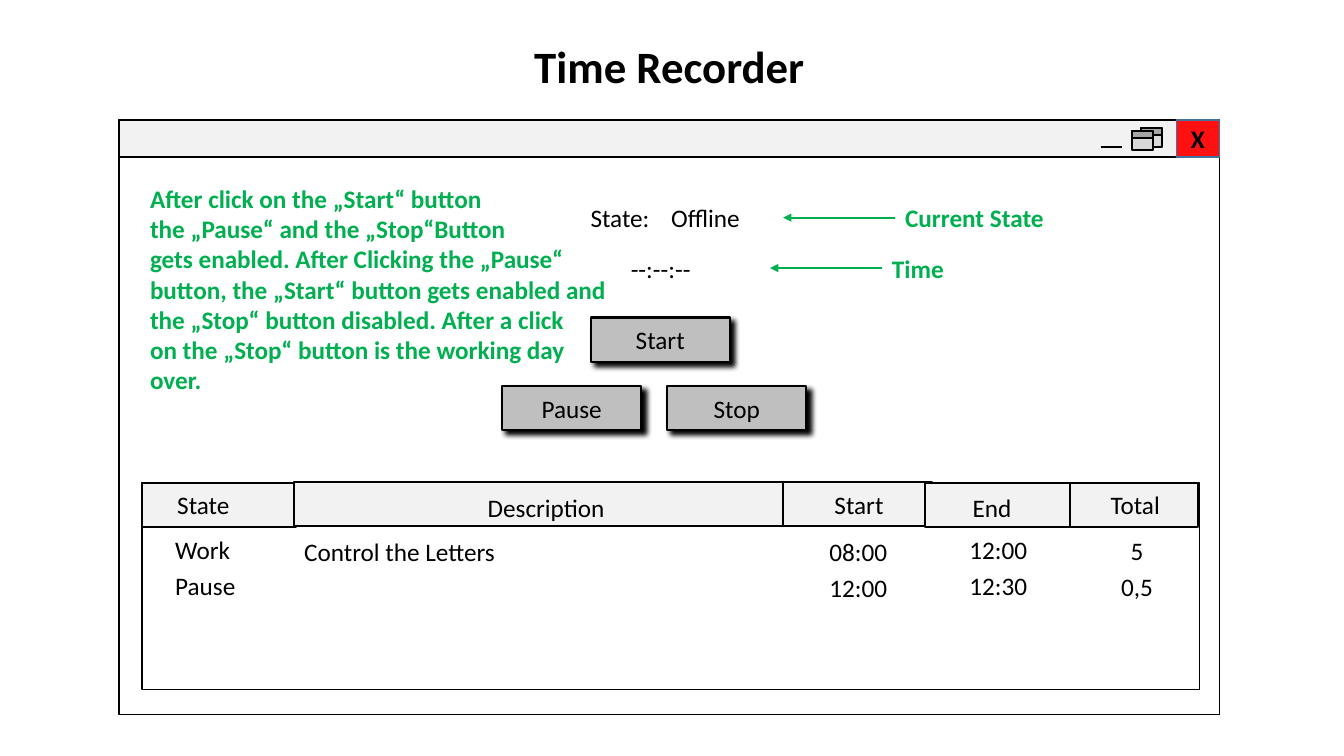
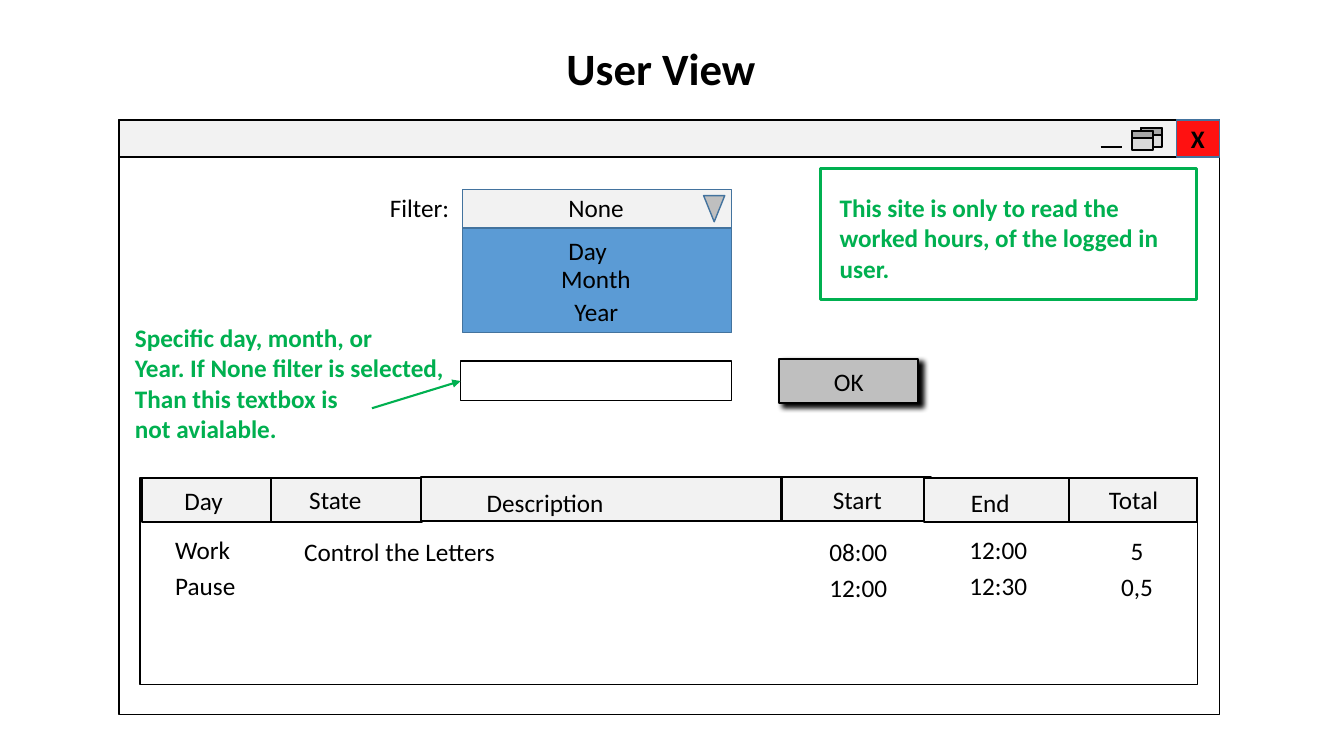
from dataclasses import dataclass, replace

from lxml.etree import SubElement
from pptx import Presentation
from pptx.dml.color import RGBColor
from pptx.enum.shapes import MSO_CONNECTOR, MSO_SHAPE
from pptx.enum.text import MSO_ANCHOR, MSO_AUTO_SIZE, PP_ALIGN
from pptx.oxml.ns import qn
from pptx.util import Pt

# Shared look
COLORS = {
    "black": "000000", "white": "FFFFFF", "pale": "F2F2F2", "close": "FF1111",
    "icon": "D9D9D9", "icon bar": "A6A6A6", "button": "BFBFBF",
    "blue": "5B9BD5", "blue edge": "43739E", "note": "00B050",
}
BODY_FONT = {"name": "Calibri", "size": Pt(18), "bold": False}
STRONG_FONT = {**BODY_FONT, "bold": True}
TITLE_FONT = {**STRONG_FONT, "size": Pt(32)}
TEXT_HEIGHT = 28.8
BUTTON_WIDTH, BUTTON_HEIGHT = 99.4, 31.7
HEADER_HEIGHT = 31.7
ROW_PITCH = 26


@dataclass(frozen=True)
class Area:
    left: float
    top: float
    width: float
    height: float = TEXT_HEIGHT

    def lengths(self) -> tuple:
        return Pt(self.left), Pt(self.top), Pt(self.width), Pt(self.height)


@dataclass(frozen=True)
class Label:
    text: str
    area: Area
    color: str = "black"
    wrap: bool = False
    align: PP_ALIGN = PP_ALIGN.LEFT


@dataclass(frozen=True)
class Column:
    label: str
    left: float
    width: float
    label_left: float
    label_width: float
    label_drop: float = 1.4
    lift: float = 0


@dataclass(frozen=True)
class Entries:
    values: tuple
    left: float
    width: float
    top: float
    align: PP_ALIGN = PP_ALIGN.CENTER


@dataclass(frozen=True)
class Arrow:
    start: tuple
    end: tuple


def color_of(name: str) -> RGBColor:
    return RGBColor.from_string(COLORS[name])


def apply_format(target, values: dict) -> None:
    for name, value in values.items():
        setattr(target, name, value)


def write_text(box, text: str, color: str, font: dict, align: PP_ALIGN) -> None:
    frame = box.text_frame
    for number, line in enumerate(text.split("\n")):
        para = frame.add_paragraph() if number else frame.paragraphs[0]
        para.alignment = align
        span = para.add_run()
        span.text = line
        apply_format(span.font, font)
        span.font.color.rgb = color_of(color)


def add_box(shapes, area: Area, fill: str | None, edge: str = "black",
            weight: float = 1, kind: MSO_SHAPE = MSO_SHAPE.RECTANGLE):
    box = shapes.add_shape(kind, *area.lengths())
    box.shadow.inherit = False
    if fill is None:
        box.fill.background()
    else:
        box.fill.solid()
        box.fill.fore_color.rgb = color_of(fill)
    box.line.color.rgb = color_of(edge)
    box.line.width = Pt(weight)
    return box


def add_label(shapes, label: Label) -> None:
    box = shapes.add_textbox(*label.area.lengths())
    apply_format(box.text_frame, {"word_wrap": label.wrap,
                                  "auto_size": MSO_AUTO_SIZE.SHAPE_TO_FIT_TEXT})
    font = STRONG_FONT if label.color == "note" else BODY_FONT
    write_text(box, label.text, label.color, font, label.align)


def add_line(shapes, start: tuple, end: tuple, color: str, weight: float):
    line = shapes.add_connector(MSO_CONNECTOR.STRAIGHT,
                                *(Pt(value) for value in (*start, *end)))
    line.line.color.rgb = color_of(color)
    line.line.width = Pt(weight)
    SubElement(line.element.find(qn("p:spPr")), qn("a:effectLst"))
    return line


def add_arrow(shapes, arrow: Arrow) -> None:
    line = add_line(shapes, arrow.start, arrow.end, "note", 1.5)
    stroke = line.element.find(".//" + qn("a:ln"))
    SubElement(stroke, qn("a:tailEnd"), type="triangle")


def add_button(shapes, text: str, left: float, top: float) -> None:
    area = Area(left, top, BUTTON_WIDTH, BUTTON_HEIGHT)
    box = add_box(shapes, area, "button", weight=1.5)
    box.text_frame.vertical_anchor = MSO_ANCHOR.MIDDLE
    write_text(box, text, "black", BODY_FONT, PP_ALIGN.CENTER)
    effects = box.element.find(".//" + qn("a:effectLst"))
    shadow = SubElement(effects, qn("a:outerShdw"), blurRad=str(Pt(4)),
                        dist=str(Pt(4)), dir="2400000", algn="tl", rotWithShape="0")
    SubElement(shadow, qn("a:srgbClr"), val=COLORS["black"])


def add_title(page, text: str, area: Area) -> None:
    box = page.shapes.title
    box.left, box.top, box.width, box.height = area.lengths()
    apply_format(box.text_frame, {"word_wrap": False, "auto_size": MSO_AUTO_SIZE.NONE,
                                  "vertical_anchor": MSO_ANCHOR.MIDDLE})
    write_text(box, text, "black", TITLE_FONT, PP_ALIGN.LEFT)


def add_window(page, layout) -> None:
    """Draw the window once and hand it to the layout."""
    group = page.shapes.add_group_shape()
    shapes = group.shapes
    left, top, width, bar_height, close_width = 85, 85.7, 786.2, 26.6, 31
    add_box(shapes, Area(left, top, width, 424.8), None)
    add_box(shapes, Area(left, top, width, bar_height), "pale")
    close = add_box(shapes, Area(left + width - close_width, top, close_width, bar_height),
                    "close", "blue edge")
    apply_format(close.text_frame, {"vertical_anchor": MSO_ANCHOR.MIDDLE,
                                    "margin_left": 0, "margin_right": 0})
    write_text(close, "X", "black", STRONG_FONT, PP_ALIGN.CENTER)
    for icon_left, icon_top in ((815, 91.4), (808.6, 93.6)):
        add_box(shapes, Area(icon_left, icon_top, 15.1, 13.7), "icon")
        add_box(shapes, Area(icon_left, icon_top, 15.1, 5), "icon bar")
    add_line(shapes, (786.2, 105.1), (801.4, 105.1), "black", 1)

    layout.element.cSld.spTree.append(group.element)
    for number, node in enumerate(layout.element.iter(qn("p:cNvPr")), 1):
        node.set("id", str(number))


def add_time_sheet(shapes, left: float, top: float, columns: tuple) -> None:
    add_box(shapes, Area(left, top, 755.3, 147.6), "white")
    for column in columns:
        add_box(shapes, Area(column.left, top - column.lift, column.width, HEADER_HEIGHT),
                "pale", weight=1.5)
    for column in columns:
        area = Area(column.label_left, top + column.label_drop, column.label_width)
        add_label(shapes, Label(column.label, area))
    for entries in ENTRIES:
        for row, value in enumerate(entries.values):
            area = Area(entries.left, entries.top + row * ROW_PITCH, entries.width)
            add_label(shapes, Label(value, area, wrap=True, align=entries.align))


# Time sheet content
TIME_COLUMNS = (
    Column("Start", 559.4, 106.6, 589, 50.4, lift=0.7),
    Column("End", 661, 103.7, 687.6, 57.6, label_drop=2.9),
    Column("Total", 764.6, 91.4, 786.2, 54.7),
)
RECORDER_COLUMNS = (
    Column("State", 101.5, 110.2, 119.5, 51.8),
    Column("Description", 210.2, 349.2, 341.3, 105.8, label_drop=2.9, lift=0.7),
    *TIME_COLUMNS,
)
VIEW_SHIFT = -1.2
VIEW_COLUMNS = (
    Column("State", 191.5, 110.2, 213.8, 51.8),
    Column("Description", 301, 257, 340.6, 105.8, label_drop=2.9, lift=0.7),
    *(replace(column, left=column.left + VIEW_SHIFT,
              label_left=column.label_left + VIEW_SHIFT) for column in TIME_COLUMNS),
    Column("Day", 101.5, 92.2, 124.6, 43.9, label_drop=2.1),
)
ENTRIES = (
    Entries(("Work", "Pause"), 118.1, 91.4, 378, PP_ALIGN.LEFT),
    Entries(("Control the Letters",), 210.2, 349.2, 379.4, PP_ALIGN.LEFT),
    Entries(("08:00", "12:00"), 563.8, 98.6, 379.4),
    Entries(("12:00", "12:30"), 663.8, 98.6, 378.2),
    Entries(("5", "0,5"), 768.2, 87.8, 378.7),
)

# Labels, notes and arrows
RECORDER_LABELS = (
    Label("State:", Area(414.7, 141.1, 56.9)),
    Label("Offline", Area(472.3, 141.1, 64.8)),
    Label("--:--:--", Area(443.5, 177.1, 57.6)),
    Label("Current State", Area(639.4, 141.1, 114.5), "note"),
    Label("Time", Area(630, 177.1, 51.8), "note"),
    Label("After click on the „Start“ button\n"
          "the „Pause“ and the „Stop“Button\n"
          "gets enabled. After Clicking the „Pause“\n"
          "button, the „Start“ button gets enabled and\n"
          "the „Stop“ button disabled. After a click\n"
          "on the „Stop“ button is the working day\n"
          "over.", Area(100.1, 127.4, 347.8, 159.8), "note"),
)
RECORDER_ARROWS = (
    Arrow((639.4, 155.5), (559.4, 155.5)),
    Arrow((630, 191.5), (550, 191.5)),
)
VIEW_LABELS = (
    Label("Filter:", Area(271.4, 133.9, 57.6)),
    Label("None", Area(398.9, 133.9, 54.7)),
    Label("Day", Area(398.9, 164.2, 42.5)),
    Label("Month", Area(393.8, 184.3, 64.8)),
    Label("Year", Area(403.2, 208.1, 46.1)),
    Label("Specific day, month, or\n"
          "Year. If None filter is selected,\n"
          "Than this textbox is\n"
          "not avialable.", Area(89.3, 226.8, 241.2, 94.3), "note"),
    Label("This site is only to read the\n"
          "worked hours, of the logged in\n"
          "user.", Area(592.6, 133.9, 248.4, 72.7), "note"),
)

deck = Presentation()
deck.slide_width, deck.slide_height = Pt(960), Pt(540)
title_only = deck.slide_layouts.get_by_name("Title Only")

# Time Recorder
page = deck.slides.add_slide(title_only)
add_window(page, title_only)
add_title(page, "Time Recorder", Area(374.4, 23.8, 209.5, 46))
add_time_sheet(page.shapes, 101.5, 344.9, RECORDER_COLUMNS)
for text, left, top in (("Start", 421.9, 226.8), ("Stop", 476.6, 275.8),
                        ("Pause", 358.6, 275.8)):
    add_button(page.shapes, text, left, top)
for label in RECORDER_LABELS:
    add_label(page.shapes, label)
for arrow in RECORDER_ARROWS:
    add_arrow(page.shapes, arrow)

# User View
page = deck.slides.add_slide(title_only)
add_title(page, "User View", Area(397.4, 25.2, 150.5, 46))
add_box(page.shapes, Area(586.1, 120.2, 268.6, 93.6), "white", "note", 2)
add_time_sheet(page.shapes, 100.1, 341.3, VIEW_COLUMNS)
add_box(page.shapes, Area(330.5, 162.7, 192.2, 74.9), "blue", "blue edge")
add_box(page.shapes, Area(330.5, 135.4, 192.2, 27.4), "pale", "blue edge")
drop_mark = add_box(page.shapes, Area(502.6, 139.7, 15.1, 18.7), "button", "blue edge",
                    kind=MSO_SHAPE.ISOSCELES_TRIANGLE)
drop_mark.rotation = 180
add_box(page.shapes, Area(329, 257.8, 193.7, 28.1), "white")
add_button(page.shapes, "OK", 556.6, 256.3)
for label in VIEW_LABELS:
    add_label(page.shapes, label)
add_arrow(page.shapes, Arrow((265.7, 291.6), (329, 272.2)))

deck.save("out.pptx")
